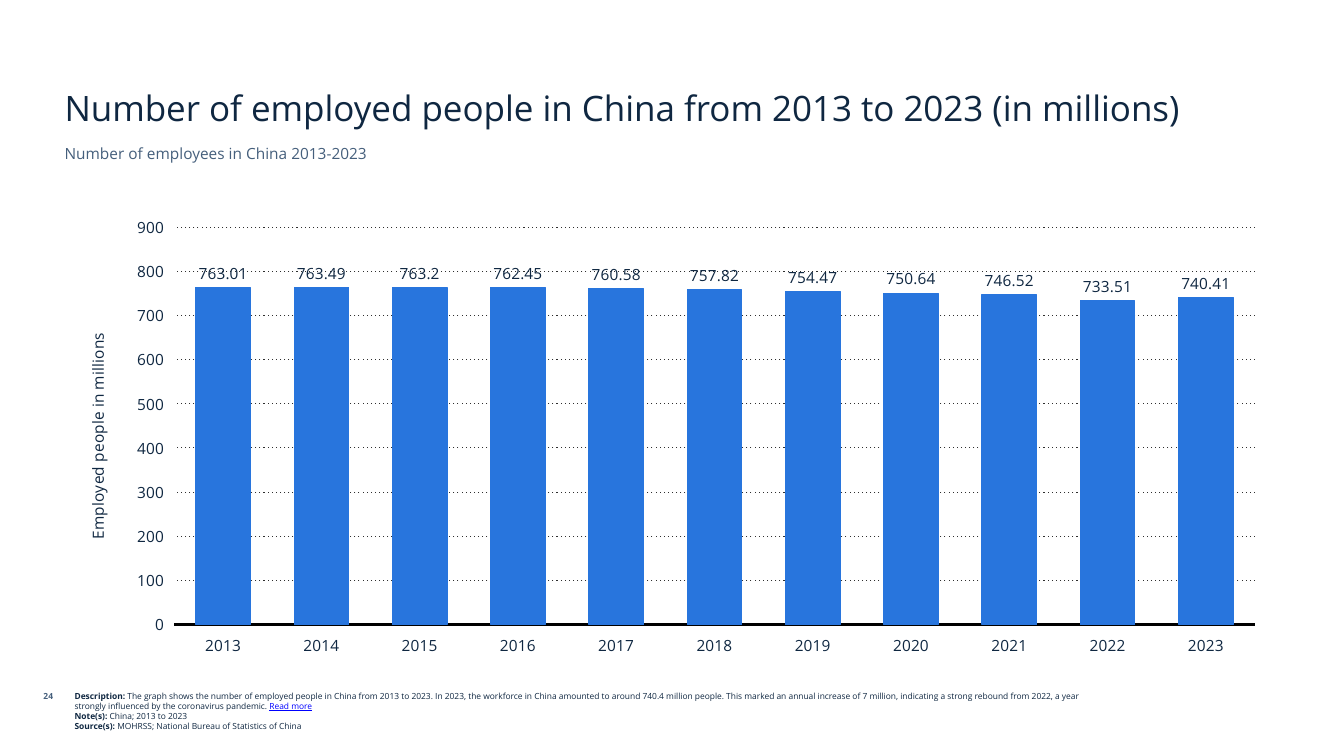
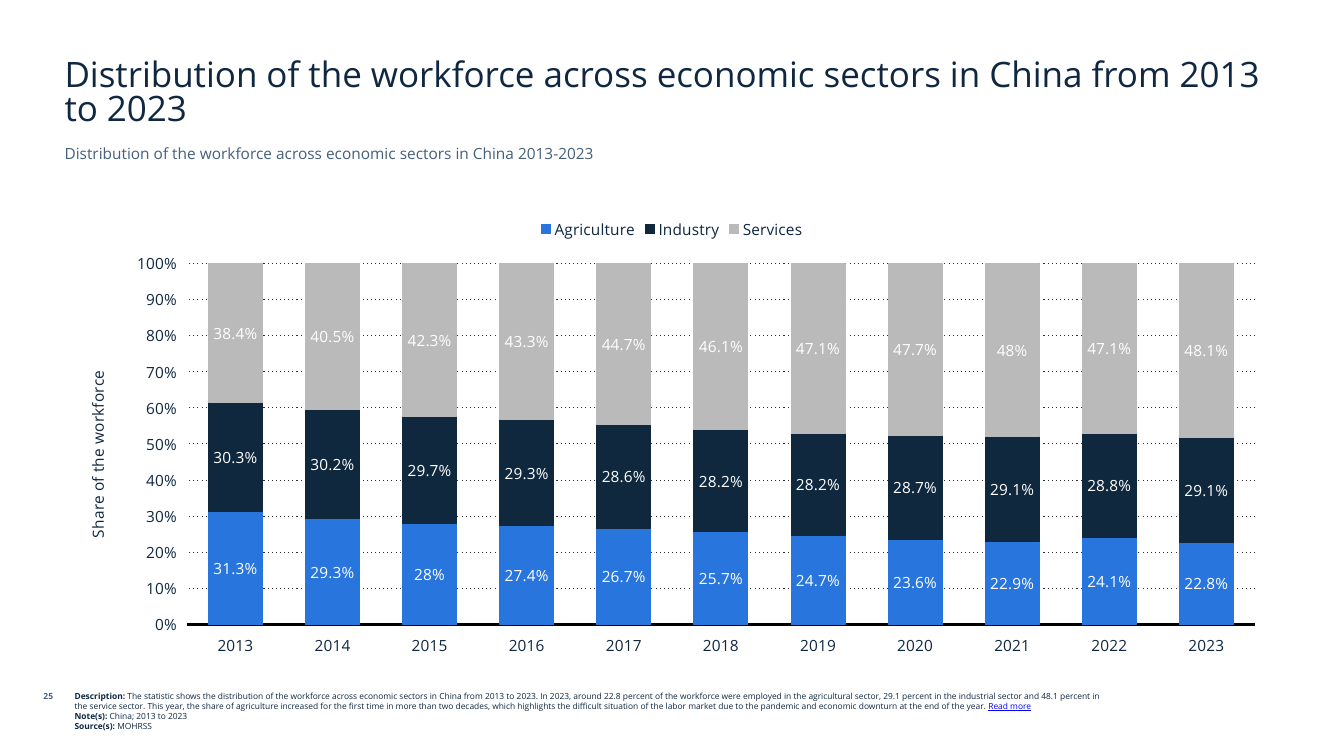
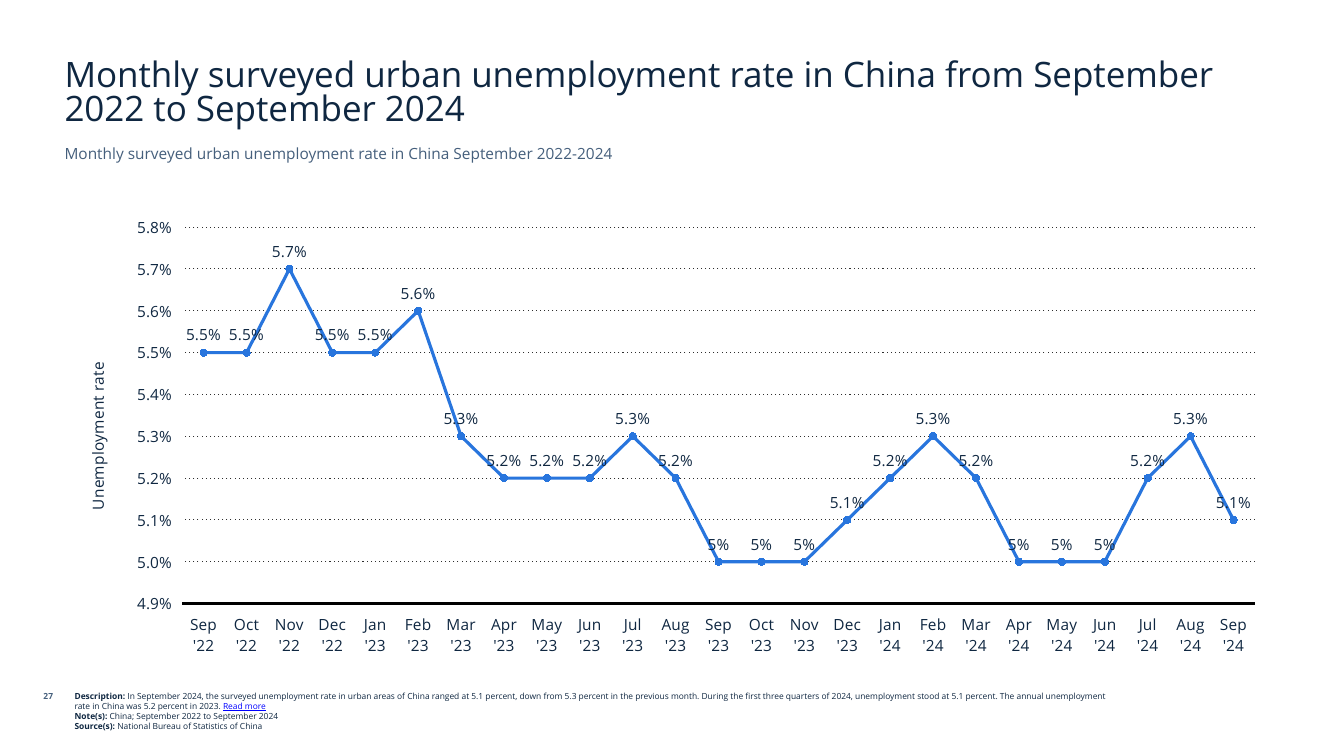
"""Build three chart slides on the Chinese labour market."""
from pptx import Presentation
from pptx.chart.data import CategoryChartData
from pptx.dml.color import RGBColor
from pptx.enum.chart import XL_CHART_TYPE as ChartType
from pptx.enum.chart import XL_LABEL_POSITION as LabelPosition
from pptx.enum.chart import XL_LEGEND_POSITION as LegendPosition
from pptx.enum.chart import XL_MARKER_STYLE as MarkerStyle
from pptx.enum.chart import XL_TICK_LABEL_POSITION as TickLabelPosition
from pptx.enum.chart import XL_TICK_MARK as TickMark
from pptx.enum.dml import MSO_LINE as LineDash
from pptx.enum.text import MSO_ANCHOR as Anchor
from pptx.enum.text import MSO_AUTO_SIZE as AutoSize
from pptx.enum.text import PP_ALIGN as Align
from pptx.oxml.ns import qn
from pptx.util import Pt

FONT = "Open Sans"
NAVY, SLATE, BLUE, LINK = "0F2741", "455F7C", "2875DD", "0000FF"
SERIES_COLORS = [BLUE, "0F283E", "BABABA"]

TITLE_BOX = (38.9, 33.1, 881.3, 61.9)
SUBTITLE_BOX = (38.9, 99.4, 881.3, 24.5)
CHART_BOX = (46.2, 148.2, 867.6, 326.6)
NUMBER_BOX = (0, 490.1, 45, 21.6)
NOTES_BOX = (46.2, 490.1, 753.8, 41.8)

YEARS = [str(year) for year in range(2013, 2024)]
MONTH_NAMES = "Jan Feb Mar Apr May Jun Jul Aug Sep Oct Nov Dec".split()
MONTHS = [f"{MONTH_NAMES[index % 12]} '{22 + index // 12}" for index in range(8, 33)]

SLIDES = [
    {
        "number": "24",
        "title": "Number of employed people in China from 2013 to 2023 (in millions)",
        "subtitle": "Number of employees in China 2013-2023",
        "description": "The graph shows the number of employed people in China from 2013 to 2023. "
                       "In 2023, the workforce in China amounted to around 740.4 million people. "
                       "This marked an annual increase of 7 million, indicating a strong rebound "
                       "from 2022, a year strongly influenced by the coronavirus pandemic. ",
        "note": "China; 2013 to 2023",
        "source": "MOHRSS; National Bureau of Statistics of China",
        "type": ChartType.COLUMN_CLUSTERED,
        "axis_title": "Employed people in millions",
        "scale": (0, 900, 100),
        "axis_format": "#,##0",
        "label_format": "0.##",
        "label_position": LabelPosition.OUTSIDE_END,
        "label_color": NAVY,
        "overlap": -30,
        "categories": YEARS,
        "series": {
            "Series 1": [763.01, 763.49, 763.2, 762.45, 760.58, 757.82,
                         754.47, 750.64, 746.52, 733.51, 740.41],
        },
    },
    {
        "number": "25",
        "title": "Distribution of the workforce across economic sectors in China from 2013 to 2023",
        "subtitle": "Distribution of the workforce across economic sectors in China 2013-2023",
        "description": "The statistic shows the distribution of the workforce across economic "
                       "sectors in China from 2013 to 2023. In 2023, around 22.8 percent of the "
                       "workforce were employed in the agricultural sector, 29.1 percent in the "
                       "industrial sector and 48.1 percent in the service sector. This year, the "
                       "share of agriculture increased for the first time in more than two "
                       "decades, which highlights the difficult situation of the labor market due "
                       "to the pandemic and economic downturn at the end of the year. ",
        "note": "China; 2013 to 2023",
        "source": "MOHRSS",
        "type": ChartType.COLUMN_STACKED,
        "axis_title": "Share of the workforce",
        "scale": (0, 1, 0.1),
        "axis_format": "#,##0%",
        "label_format": "0.0%",
        "label_position": LabelPosition.CENTER,
        "label_color": "FFFFFF",
        "overlap": 100,
        "categories": YEARS,
        "series": {
            "Agriculture": [0.313, 0.293, 0.28, 0.274, 0.267, 0.257,
                            0.247, 0.236, 0.229, 0.241, 0.228],
            "Industry": [0.303, 0.302, 0.297, 0.293, 0.286, 0.282,
                         0.282, 0.287, 0.291, 0.288, 0.291],
            "Services": [0.384, 0.405, 0.423, 0.433, 0.447, 0.461,
                         0.471, 0.477, 0.48, 0.471, 0.481],
        },
    },
    {
        "number": "27",
        "title": "Monthly surveyed urban unemployment rate in China from September 2022 "
                 "to September 2024",
        "subtitle": "Monthly surveyed urban unemployment rate in China September 2022-2024",
        "description": "In September 2024, the surveyed unemployment rate in urban areas of China "
                       "ranged at 5.1 percent, down from 5.3 percent in the previous month. During "
                       "the first three quarters of 2024, unemployment stood at 5.1 percent. The "
                       "annual unemployment rate in China was 5.2 percent in 2023. ",
        "note": "China; September 2022 to September 2024",
        "source": "National Bureau of Statistics of China",
        "type": ChartType.LINE_MARKERS,
        "axis_title": "Unemployment rate",
        "scale": (0.049, 0.058, 0.001),
        "axis_format": "#,##0.0%",
        "label_format": "0.0%",
        "label_position": LabelPosition.ABOVE,
        "label_color": NAVY,
        "categories": MONTHS,
        "series": {
            "Series 1": [0.055, 0.055, 0.057, 0.055, 0.055, 0.056, 0.053, 0.052, 0.052,
                         0.052, 0.053, 0.052, 0.05, 0.05, 0.05, 0.051, 0.052, 0.053,
                         0.052, 0.05, 0.05, 0.05, 0.052, 0.053, 0.051],
        },
    },
]


def rgb(color):
    return RGBColor.from_string(color)


def points(box):
    return [Pt(length) for length in box]


def set_font(font, size, color, bold=False):
    font.name, font.size, font.bold = FONT, Pt(size), bold
    font.color.rgb = rgb(color)


def set_line(line, color, width):
    line.color.rgb = rgb(color)
    line.width = Pt(width)


def add_run(paragraph, text, size, color, bold=False):
    run = paragraph.add_run()
    run.text = text
    set_font(run.font, size, color, bold)
    return run


def fill_placeholder(shape, box, text, size, color, anchor):
    shape.left, shape.top, shape.width, shape.height = points(box)
    frame = shape.text_frame
    frame.auto_size, frame.word_wrap = AutoSize.NONE, True
    frame.vertical_anchor = anchor
    paragraph = frame.paragraphs[0]
    paragraph.alignment = Align.LEFT
    paragraph.space_before = Pt(0)
    add_run(paragraph, text, size, color)
    return paragraph


def add_heading(slide, content):
    title = fill_placeholder(slide.shapes.title, TITLE_BOX, content["title"], 25, NAVY, Anchor.BOTTOM)
    title.line_spacing = 0.8
    subtitle = fill_placeholder(slide.placeholders[1], SUBTITLE_BOX, content["subtitle"],
                                11, SLATE, Anchor.TOP)
    properties = subtitle._p.get_or_add_pPr()
    properties.set("marL", "0")
    properties.set("indent", "0")
    properties.append(properties.makeelement(qn("a:buNone"), {}))


def add_text_frame(slide, box):
    frame = slide.shapes.add_textbox(*points(box)).text_frame
    frame.word_wrap = True
    return frame


def add_footer(slide, content):
    paragraph = add_text_frame(slide, NUMBER_BOX).paragraphs[0]
    paragraph.alignment = Align.RIGHT
    add_run(paragraph, content["number"], 6, SLATE, True)

    frame = add_text_frame(slide, NOTES_BOX)
    entries = [("Description: ", "description"), ("Note(s): ", "note"), ("Source(s): ", "source")]
    for index, (heading, key) in enumerate(entries):
        paragraph = frame.add_paragraph() if index else frame.paragraphs[0]
        add_run(paragraph, heading, 6, NAVY, True)
        add_run(paragraph, content[key], 6, NAVY)
        if key == "description":
            add_run(paragraph, "Read more", 6, LINK).font.underline = True


def style_axes(chart, content):
    for axis in (chart.category_axis, chart.value_axis):
        axis.major_tick_mark = axis.minor_tick_mark = TickMark.NONE
        axis.tick_label_position = TickLabelPosition.LOW
        set_font(axis.tick_labels.font, 11, NAVY)
    set_line(chart.category_axis.format.line, "000000", 2)

    value_axis = chart.value_axis
    value_axis.minimum_scale, value_axis.maximum_scale, value_axis.major_unit = content["scale"]
    value_axis.tick_labels.number_format = content["axis_format"]
    value_axis.tick_labels.number_format_is_linked = False
    value_axis.format.line.fill.background()
    value_axis.has_major_gridlines = True
    grid_line = value_axis.major_gridlines.format.line
    set_line(grid_line, "2F2F2F", 0.75)
    grid_line.dash_style = LineDash.ROUND_DOT
    for dash in value_axis._element.iter(qn("a:prstDash")):
        dash.set("val", "dot")

    frame = value_axis.axis_title.text_frame
    add_run(frame.paragraphs[0], content["axis_title"], 11, NAVY)
    body = frame._txBody.find(qn("a:bodyPr"))
    body.set("rot", "-5400000")
    body.set("vert", "horz")


def show_whole_percent(point, content):
    label = point.data_label
    set_font(label.font, 11, content["label_color"])
    label.position = content["label_position"]
    element = label._get_or_add_dLbl()
    attributes = {"formatCode": "0%", "sourceLinked": "0"}
    element.insert(1, element.makeelement(qn("c:numFmt"), attributes))


def style_series(series, color, content):
    if content["type"] == ChartType.LINE_MARKERS:
        series.smooth = False
        set_line(series.format.line, color, 2.25)
        series.marker.style, series.marker.size = MarkerStyle.CIRCLE, 5
        shape_format = series.marker.format
    else:
        series.invert_if_negative = False
        shape_format = series.format
    shape_format.fill.solid()
    shape_format.fill.fore_color.rgb = rgb(color)
    set_line(shape_format.line, color, 0.75)

    labels = series.data_labels
    labels.show_value = True
    labels.position = content["label_position"]
    labels.number_format = content["label_format"]
    labels.number_format_is_linked = False
    set_font(labels.font, 11, content["label_color"])
    for index, value in enumerate(series.values):
        if value < 1 and value == round(value, 2):
            show_whole_percent(series.points[index], content)


def add_data_chart(slide, content):
    data = CategoryChartData(number_format=content["label_format"])
    data.categories = content["categories"]
    for name, values in content["series"].items():
        data.add_series(name, values)
    chart = slide.shapes.add_chart(content["type"], *points(CHART_BOX), data).chart
    set_font(chart.font, 11, NAVY)
    chart.has_title = False
    chart.has_legend = len(content["series"]) > 1
    if chart.has_legend:
        chart.legend.position = LegendPosition.TOP
        chart.legend.include_in_layout = False
        set_font(chart.legend.font, 11, NAVY)
    plot = chart.plots[0]
    plot.vary_by_categories = False
    if "overlap" in content:
        plot.gap_width, plot.overlap = 80, content["overlap"]
    style_axes(chart, content)
    for series, color in zip(plot.series, SERIES_COLORS):
        style_series(series, color, content)


def main():
    presentation = Presentation()
    presentation.slide_width, presentation.slide_height = Pt(960), Pt(540)
    for content in SLIDES:
        slide = presentation.slides.add_slide(presentation.slide_layouts[1])
        add_heading(slide, content)
        add_data_chart(slide, content)
        add_footer(slide, content)
    presentation.save("out.pptx")


if __name__ == "__main__":
    main()
